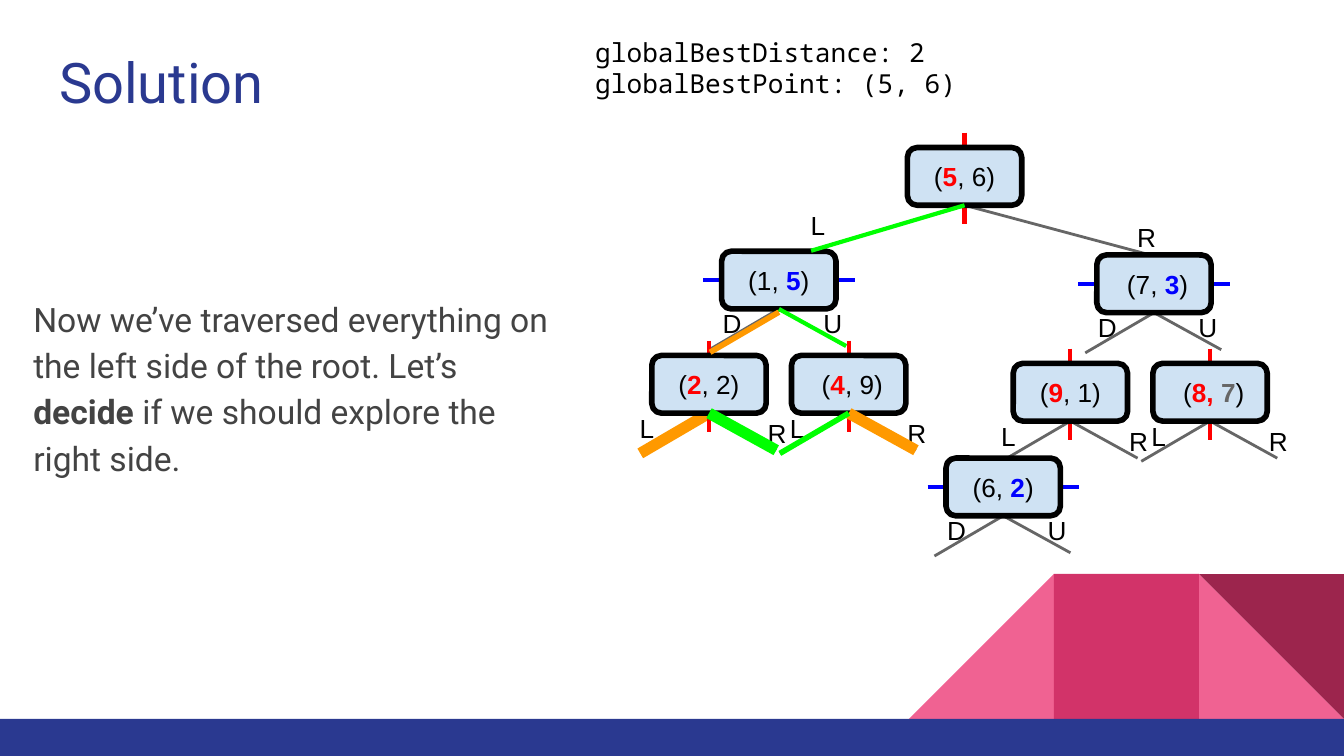
import pptx
import pptx.util
import pptx.dml.color
import pptx.enum.shapes
import pptx.enum.text
import lxml.etree

Cm = pptx.util.Cm
Pt = pptx.util.Pt
SHAPE = pptx.enum.shapes.MSO_SHAPE

BLACK, RED, BLUE, GREY = "000000", "FF0000", "0000FF", "666666"
GREEN, ORANGE = "00FF00", "FF9900"
NODE_W, NODE_H = 2.16, 1.09
LEFT_LEG, RIGHT_LEG = (-1.3, 0.76), (1.27, 0.7)
ROOT_LEFT_LEG, ROOT_RIGHT_LEG = (-2.9, 0.86), (3.4, 0.91)


def color(value):
    return pptx.dml.color.RGBColor.from_string(value)


def add_runs(p, runs, size, font):
    for text, hue, bold in runs:
        r = p.add_run()
        r.text = text
        r.font.size = Pt(size)
        r.font.name = font
        r.font.bold = bold
        r.font.color.rgb = color(hue)


def set_margins(tf):
    tf.word_wrap = True
    tf.margin_left = tf.margin_right = Cm(0.25)
    tf.margin_top = tf.margin_bottom = Cm(0.25)


def add_text(s, x, y, w, h, paragraphs, size, font, spacing=None):
    tf = s.shapes.add_textbox(Cm(x), Cm(y), Cm(w), Cm(h)).text_frame
    set_margins(tf)
    for i, runs in enumerate(paragraphs):
        p = tf.add_paragraph() if i else tf.paragraphs[0]
        p.line_spacing = spacing
        add_runs(p, runs, size, font)


def add_line(s, x1, y1, x2, y2, hue, width):
    line = s.shapes.add_connector(
        pptx.enum.shapes.MSO_CONNECTOR.STRAIGHT, Cm(x1), Cm(y1), Cm(x2), Cm(y2))
    line.line.color.rgb = color(hue)
    line.line.width = Pt(width)
    lxml.etree.SubElement(line._element.spPr, pptx.oxml.ns.qn("a:effectLst"))


def add_leg(s, x, y, leg, hue=GREY, width=1.5):
    start_x, start_y = x + NODE_W / 2, y + NODE_H
    add_line(s, start_x, start_y, start_x + leg[0], start_y + leg[1], hue, width)


def add_block(s, kind, x, y, w, h, fill):
    sp = s.shapes.add_shape(kind, Cm(x), Cm(y), Cm(w), Cm(h))
    sp.shadow.inherit = False
    sp.fill.solid()
    sp.fill.fore_color.rgb = color(fill)
    sp.line.fill.background()
    return sp


def add_node(s, x, y, runs, split, labels, legs=(LEFT_LEG, RIGHT_LEG)):
    mid_x, mid_y = x + NODE_W / 2, y + NODE_H / 2
    if split == "x":
        add_line(s, mid_x, y - 0.28, mid_x, y + NODE_H + 0.36, RED, 2.25)
    else:
        add_line(s, x - 0.35, mid_y, x + NODE_W + 0.35, mid_y, BLUE, 2.25)
    for leg in legs:
        add_leg(s, x, y, leg)
    for text, dx, dy in labels:
        add_text(s, x + dx, y + dy, 1.32, 0.76, [[(text, BLACK, False)]], 14, "Arial")
    box = add_block(s, SHAPE.ROUNDED_RECTANGLE, x, y, NODE_W, NODE_H, "CFE2F3")
    box.line.color.rgb = color(BLACK)
    box.line.width = Pt(3)
    tf = box.text_frame
    set_margins(tf)
    tf.vertical_anchor = pptx.enum.text.MSO_ANCHOR.MIDDLE
    p = tf.paragraphs[0]
    p.alignment = pptx.enum.text.PP_ALIGN.CENTER
    add_runs(p, runs, 14, "Arial")


def point(before, key, after, hue):
    return [(before, BLACK, False), (key, hue, True), (after, BLACK, False)]


def add_tree(s, x, y):
    down_up = [("D", -0.23, 0.82), ("U", 1.67, 0.82)]
    outer = [("L", -0.48, 0.82), ("R", 1.94, 0.92)]
    inner = [("L", -0.28, 0.82), ("R", 1.94, 0.92)]
    root = (x + 4.83, y)
    p15 = (x + 1.32, y + 1.96)
    p22, p49 = (x, y + 3.93), (x + 2.64, y + 3.93)
    p91, p87 = (x + 6.83, y + 4.08), (x + 9.47, y + 4.08)

    add_node(s, *root, point("(", "5", ", 6)", RED), "x",
             [("L", -2.08, 0.92), ("R", 4.09, 1.14)], (ROOT_LEFT_LEG, ROOT_RIGHT_LEG))
    add_node(s, x + 8.41, y + 2.03, point(" (7, ", "3", ")", BLUE), "y", down_up)
    add_node(s, *p15, point("(1, ", "5", ")", BLUE), "y", down_up)
    add_leg(s, *p22, LEFT_LEG, ORANGE, 6)
    add_node(s, *p22, point("(", "2", ", 2)", RED), "x", outer, (RIGHT_LEG,))
    add_node(s, *p49, point(" (", "4", ", 9)", RED), "x", inner)
    add_node(s, *p91, point("(", "9", ", 1)", RED), "x", outer)
    add_node(s, *p87, [(" (", BLACK, False), ("8, ", RED, True),
                       ("7", GREY, True), (")", BLACK, False)], "x", inner)
    add_node(s, x + 5.56, y + 5.87, point("(6, ", "2", ")", BLUE), "y", down_up)

    add_leg(s, *p22, RIGHT_LEG, GREEN, 6)
    add_leg(s, *p49, RIGHT_LEG, ORANGE, 6)
    add_leg(s, *root, ROOT_LEFT_LEG, GREEN, 2.25)
    add_leg(s, *p15, RIGHT_LEG, GREEN, 2.25)
    add_leg(s, *p49, LEFT_LEG, GREEN, 3)
    add_leg(s, p15[0], p15[1] + 0.06, LEFT_LEG, ORANGE, 3)


def add_footer(s, x, y, w, h):
    unit = 2.74
    tile_x = [x + w - n * unit for n in (3, 2, 1)]
    tile_y = y - unit
    add_block(s, SHAPE.RIGHT_TRIANGLE, tile_x[2], tile_y, unit, unit, "F06292")
    left = add_block(s, SHAPE.RIGHT_TRIANGLE, tile_x[0], tile_y, unit, unit, "F06292")
    left._element.spPr.xfrm.set("flipH", "1")
    add_block(s, SHAPE.RECTANGLE, tile_x[1], tile_y, unit, unit, "D23369")
    dark = add_block(s, SHAPE.RIGHT_TRIANGLE, tile_x[2], tile_y, unit, unit, "9C254D")
    dark.rotation = 180
    add_block(s, SHAPE.RECTANGLE, x, y, w, h, "2A3990")


def main():
    prs = pptx.Presentation()
    prs.slide_width, prs.slide_height = Cm(25.4), Cm(14.29)
    s = prs.slides.add_slide(prs.slide_layouts[6])
    add_footer(s, 0, 13.59, 25.4, 0.7)
    add_text(s, 0.87, 0.64, 23.67, 1.96, [[("Solution", "2A3990", False)]], 30, "Roboto")
    add_text(s, 0.38, 5.28, 10.39, 3.43, [[
        ("Now we’ve traversed everything on the left side of the root. Let’s ", "434343", False),
        ("decide ", "434343", True),
        ("if we should explore the right side.", "434343", False),
    ]], 18, "Roboto", 1.15)
    add_tree(s, 12.32, 2.79)
    add_text(s, 11, 0.43, 9.53, 0.79, [
        [("globalBestDistance: 2", BLACK, False)],
        [("globalBestPoint: (5, 6)", BLACK, False)],
    ], 14, "Noto Sans Mono")
    prs.save("out.pptx")


if __name__ == "__main__":
    main()
